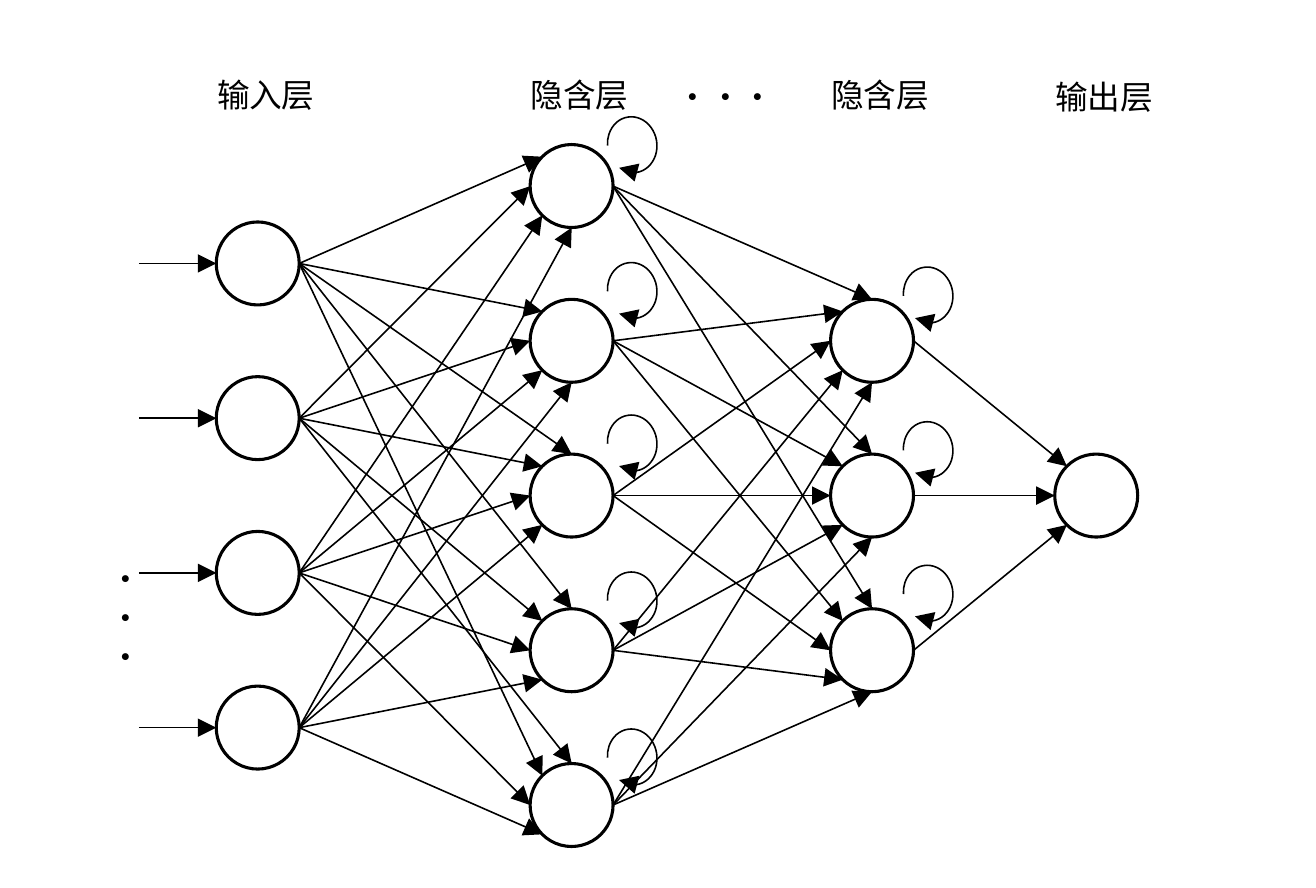
from dataclasses import dataclass
from math import cos, radians, sin

from lxml import etree
from pptx import Presentation
from pptx.dml.color import RGBColor
from pptx.enum import shapes, text
from pptx.oxml.ns import qn
from pptx.shapes.autoshape import Shape
from pptx.slide import Slide
from pptx.util import Inches, Pt


@dataclass(frozen=True)
class Theme:
    ink: RGBColor = RGBColor(0, 0, 0)
    paper: RGBColor = RGBColor(255, 255, 255)
    font: str = "Noto Sans CJK SC"
    text_size: Pt = Pt(10.5)
    line_spacing: Pt = Pt(12.5)
    node_line: Pt = Pt(1)
    arrow_line: Pt = Pt(0.5)


@dataclass(frozen=True)
class Point:
    x: float
    y: float


@dataclass(frozen=True)
class Layer:
    label: str
    x: float
    size: int
    label_top: float = 0.28
    loop_left: float = 0
    loop_tops: tuple[float, ...] = ()
    # One row per node of this layer: the side entered on each next node.
    entries: tuple[str, ...] = ()

    def centres(self) -> list[Point]:
        first = MIDDLE_Y - (self.size - 1) / 2 * NODE_PITCH
        return [Point(self.x, first + row * NODE_PITCH) for row in range(self.size)]


THEME = Theme()
NODE_DIAMETER = 0.37
NODE_PITCH = 0.69
MIDDLE_Y = 2.21
INPUT_LEFT = 0.62
LABEL_OFFSET = -0.28
LABEL_WIDTH, LABEL_HEIGHT = 0.64, 0.28
LOOP_WIDTH, LOOP_HEIGHT = 0.22, 0.25
SIDE_ANGLES = {"right": 0, "bottom": 90, "bottom-left": 135,
               "left": 180, "top-left": 225, "top": 270}

LAYERS = [
    Layer("输入层", 1.15, 4, entries=(
        "top-left top-left top top top-left",
        "left left top-left top-left top",
        "bottom-left bottom-left left left left",
        "bottom bottom bottom-left bottom-left bottom-left",
    )),
    Layer("隐含层", 2.55, 5, loop_left=2.71, loop_tops=(0.52, 1.17, 1.85, 2.55, 3.25),
          entries=("top top top", "top-left top-left top-left", "left left left",
                   "bottom-left bottom-left bottom-left", "bottom bottom bottom")),
    Layer("隐含层", 3.89, 3, loop_left=4.03, loop_tops=(1.19, 1.88, 2.52),
          entries=("top-left", "left", "bottom-left")),
    Layer("输出层", 4.89, 1, label_top=0.29),
]


def rim(centre: Point, side: str) -> Point:
    """Point of a node's outline on the given side."""
    angle = radians(SIDE_ANGLES[side])
    radius = NODE_DIAMETER / 2
    return Point(centre.x + radius * cos(angle), centre.y + radius * sin(angle))


def add_arrowhead(line_element: etree._Element) -> None:
    etree.SubElement(line_element, qn("a:tailEnd"), type="triangle")


def add_node(slide: Slide, centre: Point) -> Shape:
    node = slide.shapes.add_shape(
        shapes.MSO_SHAPE.OVAL,
        Inches(centre.x - NODE_DIAMETER / 2), Inches(centre.y - NODE_DIAMETER / 2),
        Inches(NODE_DIAMETER), Inches(NODE_DIAMETER))
    node.shadow.inherit = False
    node.fill.solid()
    node.fill.fore_color.rgb = THEME.paper
    node.line.color.rgb = THEME.ink
    node.line.width = THEME.node_line
    return node


def add_arrow(slide: Slide, start: Point, end: Point) -> None:
    arrow = slide.shapes.add_connector(
        shapes.MSO_CONNECTOR.STRAIGHT,
        Inches(start.x), Inches(start.y), Inches(end.x), Inches(end.y))
    arrow.line.color.rgb = THEME.ink
    arrow.line.width = THEME.arrow_line
    properties = arrow._element.spPr
    add_arrowhead(properties.find(qn("a:ln")))
    etree.SubElement(properties, qn("a:effectLst"))


def add_loop(slide: Slide, left: float, top: float) -> None:
    """Recurrent arrow beside a hidden node."""
    loop = slide.shapes.add_shape(
        shapes.MSO_SHAPE.ARC, Inches(left), Inches(top),
        Inches(LOOP_WIDTH), Inches(LOOP_HEIGHT))
    loop.rotation = 171.1
    loop.adjustments[0] = 4.235
    loop.adjustments[1] = 185.135
    loop.shadow.inherit = False
    loop.fill.background()
    loop.line.color.rgb = THEME.ink
    loop.line.width = THEME.arrow_line
    add_arrowhead(loop._element.spPr.find(qn("a:ln")))


def add_text(slide: Slide, lines: list[str], left: float, top: float,
             width: float = LABEL_WIDTH, height: float = LABEL_HEIGHT) -> None:
    box = slide.shapes.add_textbox(Inches(left), Inches(top), Inches(width), Inches(height))
    frame = box.text_frame
    frame.word_wrap = len(lines) > 1
    frame.auto_size = text.MSO_AUTO_SIZE.SHAPE_TO_FIT_TEXT
    frame.vertical_anchor = text.MSO_ANCHOR.MIDDLE
    for index, line in enumerate(lines):
        paragraph = frame.add_paragraph() if index else frame.paragraphs[0]
        paragraph.line_spacing = THEME.line_spacing
        run = paragraph.add_run()
        run.text = line
        run.font.size = THEME.text_size
        run.font.color.rgb = THEME.ink
        run.font.name = THEME.font
        etree.SubElement(run.font._element, qn("a:ea"), typeface=THEME.font)


def main() -> None:
    presentation = Presentation()
    presentation.slide_width = Inches(5.87)
    presentation.slide_height = Inches(3.96)
    slide = presentation.slides.add_slide(presentation.slide_layouts[6])

    for layer in LAYERS:
        for centre in layer.centres():
            add_node(slide, centre)

    for layer, next_layer in zip(LAYERS, LAYERS[1:]):
        for source, sides in zip(layer.centres(), layer.entries):
            for target, side in zip(next_layer.centres(), sides.split()):
                add_arrow(slide, rim(source, "right"), rim(target, side))

    for centre in LAYERS[0].centres():
        add_arrow(slide, Point(INPUT_LEFT, centre.y), rim(centre, "left"))

    for layer in LAYERS:
        add_text(slide, [layer.label], layer.x + LABEL_OFFSET, layer.label_top)
        for top in layer.loop_tops:
            add_loop(slide, layer.loop_left, top)

    add_text(slide, ["···"], 2.92, 0.29)
    add_text(slide, ["·"] * 3, 0.39, 2.44, width=0.31, height=0.63)

    presentation.save("out.pptx")


if __name__ == "__main__":
    main()
